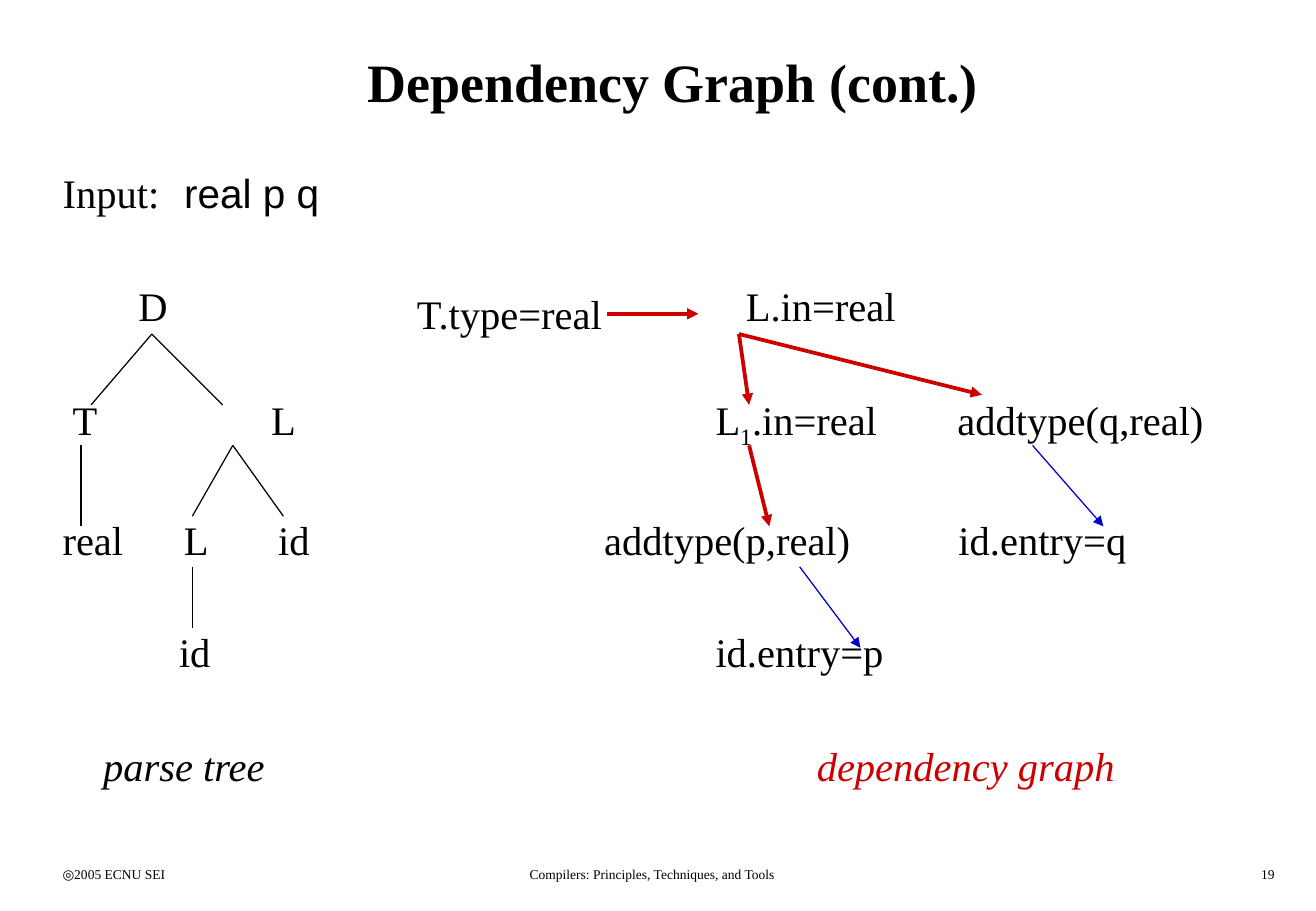
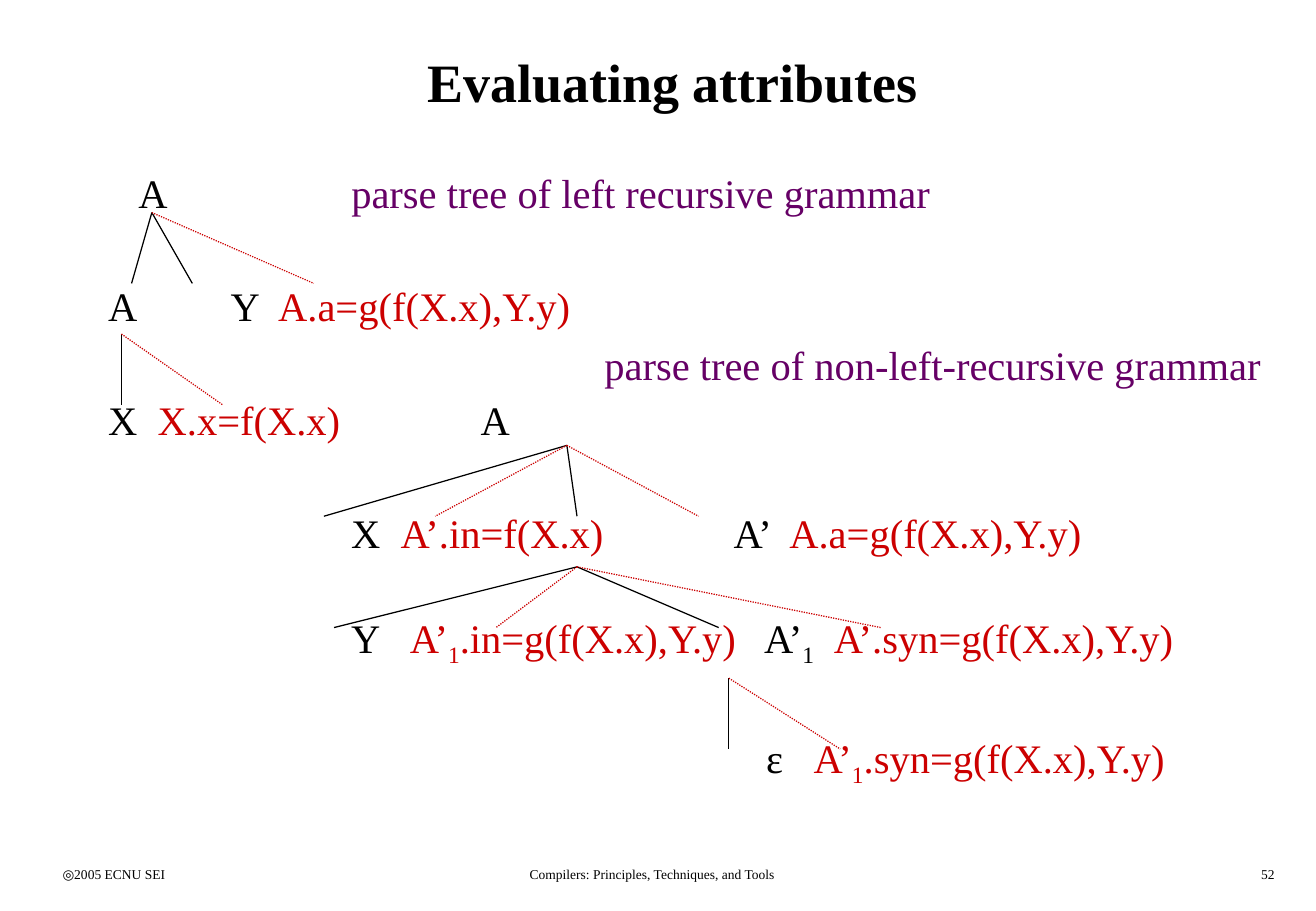
"""Builds two lecture slides on dependency graphs and attribute evaluation."""
from lxml import etree
from pptx import Presentation
from pptx.dml.color import RGBColor
from pptx.enum import dml, shapes, text
from pptx.oxml import ns
from pptx.util import Pt

PX = 7620
SERIF = "Times New Roman"
BLACK, RED, PURPLE, BLUE = "000000", "CC0000", "660066", "0000CC"
TITLE_BOX = (50, 20, 1230, 120)
BODY_BOX = (50, 160, 1230, 670)
INSET = 12

FOOTERS = [
    ((50, 850, 271, 30), "◎2005 ECNU SEI", text.PP_ALIGN.LEFT),
    ((401, 850, 487, 30), "Compilers: Principles, Techniques, and Tools", text.PP_ALIGN.CENTER),
    ((1000, 850, 271, 30), "{number}", text.PP_ALIGN.RIGHT),
]

EDGES = {
    "branch": dict(color=BLACK, width=0.75),
    "attribute": dict(color=RED, width=0.75, dotted=True),
    "flow": dict(color=RED, width=2.25, arrow=True),
    "entry": dict(color=BLUE, width=0.75, arrow=True),
}

SLIDES = [
    dict(
        title="Dependency Graph (cont.)",
        number=19,
        body=[(0, 0, [("Input:\t", {}), ("real p q", dict(font="Arial"))])],
        rows=[
            (272, [(137, "D"), (737, "L.in=real")]),
            (280, [(412, "T.type=real")]),
            (384, [(72, "T"), (268, "L"), (707, "L_1_.in=real"), (946, "addtype(q,real)")]),
            (503, [(62, "real"), (182, "L"), (275, "id"), (597, "addtype(p,real)"),
                   (947, "id.entry=q")]),
            (614, [(177, "id"), (707, "id.entry=p")]),
            (726, [(102, "parse tree", dict(italic=True)),
                   (807, "dependency graph", dict(italic=True, color=RED))]),
        ],
        fans=[
            ("branch", (150, 330), [(90, 400), (220, 400)]),
            ("branch", (80, 440), [(80, 520)]),
            ("branch", (230, 440), [(190, 510), (280, 510)]),
            ("branch", (190, 560), [(190, 620)]),
            ("flow", (600, 310), [(690, 310)]),
            ("flow", (730, 330), [(740, 400), (970, 390)]),
            ("flow", (740, 440), [(760, 520)]),
            ("entry", (790, 560), [(850, 640)]),
            ("entry", (1020, 440), [(1090, 520)]),
        ],
    ),
    dict(
        title="Evaluating attributes",
        number=52,
        body=[
            (285, 0, [("parse tree of left recursive grammar", dict(color=PURPLE))]),
            (535, 73, [("parse tree of non-left-recursive grammar", dict(color=PURPLE))]),
        ],
        rows=[
            (160, [(137, "A")]),
            (272, [(107, "A"), (228, "Y"), (275, "A.a=g(f(X.x),Y.y)", dict(color=RED))]),
            (384, [(107, "X"), (156, "X.x=f(X.x)", dict(color=RED)), (475, "A")]),
            (496, [(347, "X"), (396, "A’.in=f(X.x)", dict(color=RED)), (725, "A’"),
                   (780, "A.a=g(f(X.x),Y.y)", dict(color=RED))]),
            (600, [(347, "Y"), (405, "A’_1_.in=g(f(X.x),Y.y)", dict(color=RED)),
                   (755, "A’_1_"), (824, "A’.syn=g(f(X.x),Y.y)", dict(color=RED))]),
            (718, [(757, "ε"), (804, "A’_1_.syn=g(f(X.x),Y.y)", dict(color=RED))]),
        ],
        fans=[
            ("branch", (150, 210), [(130, 280), (190, 280)]),
            ("attribute", (150, 210), [(310, 280)]),
            ("branch", (120, 330), [(120, 400)]),
            ("attribute", (120, 330), [(220, 400)]),
            ("branch", (560, 440), [(320, 510), (570, 510)]),
            ("attribute", (560, 440), [(430, 510), (690, 510)]),
            ("branch", (570, 560), [(330, 620), (710, 620)]),
            ("attribute", (570, 560), [(490, 620), (870, 620)]),
            ("branch", (720, 670), [(720, 740)]),
            ("attribute", (720, 670), [(830, 740)]),
        ],
    ),
]


def rgb(value):
    return RGBColor.from_string(value)


def emu(lengths):
    return [length * PX for length in lengths]


def add_element(parent, tag, **attributes):
    return etree.SubElement(parent, ns.qn(tag), attributes)


def set_font(paragraph, size, bold=False):
    paragraph.font.name = SERIF
    paragraph.font.size = Pt(size)
    paragraph.font.bold = bold
    paragraph.font.color.rgb = rgb(BLACK)


def place(placeholder, box):
    placeholder.left, placeholder.top, placeholder.width, placeholder.height = emu(box)
    placeholder.text_frame.auto_size = text.MSO_AUTO_SIZE.NONE
    return placeholder.text_frame


def add_words(paragraph, words, color=None, font=None, italic=None):
    for index, piece in enumerate(words.split("_")):
        if not piece:
            continue
        run = paragraph.add_run()
        run.text = piece
        if color:
            run.font.color.rgb = rgb(color)
        if font:
            run.font.name = font
        if italic:
            run.font.italic = True
        if index % 2:
            run._r.get_or_add_rPr().set("baseline", "-25000")


def add_label(slide, box, words, size, align=text.PP_ALIGN.LEFT, **style):
    frame = slide.shapes.add_textbox(*emu(box)).text_frame
    frame.word_wrap = True
    paragraph = frame.paragraphs[0]
    paragraph.alignment = align
    set_font(paragraph, size)
    add_words(paragraph, words, **style)


def add_node(slide, top, left, words, style=None):
    width = 40 + 18 * len(words.replace("_", ""))
    add_label(slide, (left - INSET, top, width, 60), words, 24, **(style or {}))


def fill_line(paragraph, indent, gap, pieces):
    paragraph.space_before = Pt(gap)
    properties = paragraph._p.get_or_add_pPr()
    properties.set("marL", str(indent * PX))
    properties.set("indent", "0")
    add_element(properties, "a:buNone")
    set_font(paragraph, 24)
    for words, style in pieces:
        add_words(paragraph, words, **style)


def add_edge(slide, start, end, color, width, dotted=False, arrow=False):
    edge = slide.shapes.add_connector(shapes.MSO_CONNECTOR.STRAIGHT, *emu(start + end))
    edge.line.color.rgb = rgb(color)
    edge.line.width = Pt(width)
    if dotted:
        edge.line.dash_style = dml.MSO_LINE.ROUND_DOT
    if arrow:
        add_element(edge.line._get_or_add_ln(), "a:tailEnd", type="triangle")
    add_element(edge._element.spPr, "a:effectLst")


def build(deck, content):
    slide = deck.slides.add_slide(deck.slide_layouts[1])
    for box, words, align in FOOTERS:
        add_label(slide, box, words.format(number=content["number"]), 8, align)
    heading = place(slide.shapes.title, TITLE_BOX).paragraphs[0]
    heading.text = content["title"]
    set_font(heading, 32, bold=True)
    body = place(slide.placeholders[1], BODY_BOX)
    for index, line in enumerate(content["body"]):
        fill_line(body.add_paragraph() if index else body.paragraphs[0], *line)
    for kind, start, ends in content["fans"]:
        for end in ends:
            add_edge(slide, start, end, **EDGES[kind])
    for top, nodes in content["rows"]:
        for node in nodes:
            add_node(slide, top, *node)


def main():
    deck = Presentation()
    deck.slide_width, deck.slide_height = emu((1300, 900))
    for content in SLIDES:
        build(deck, content)
    deck.save("out.pptx")


if __name__ == "__main__":
    main()
